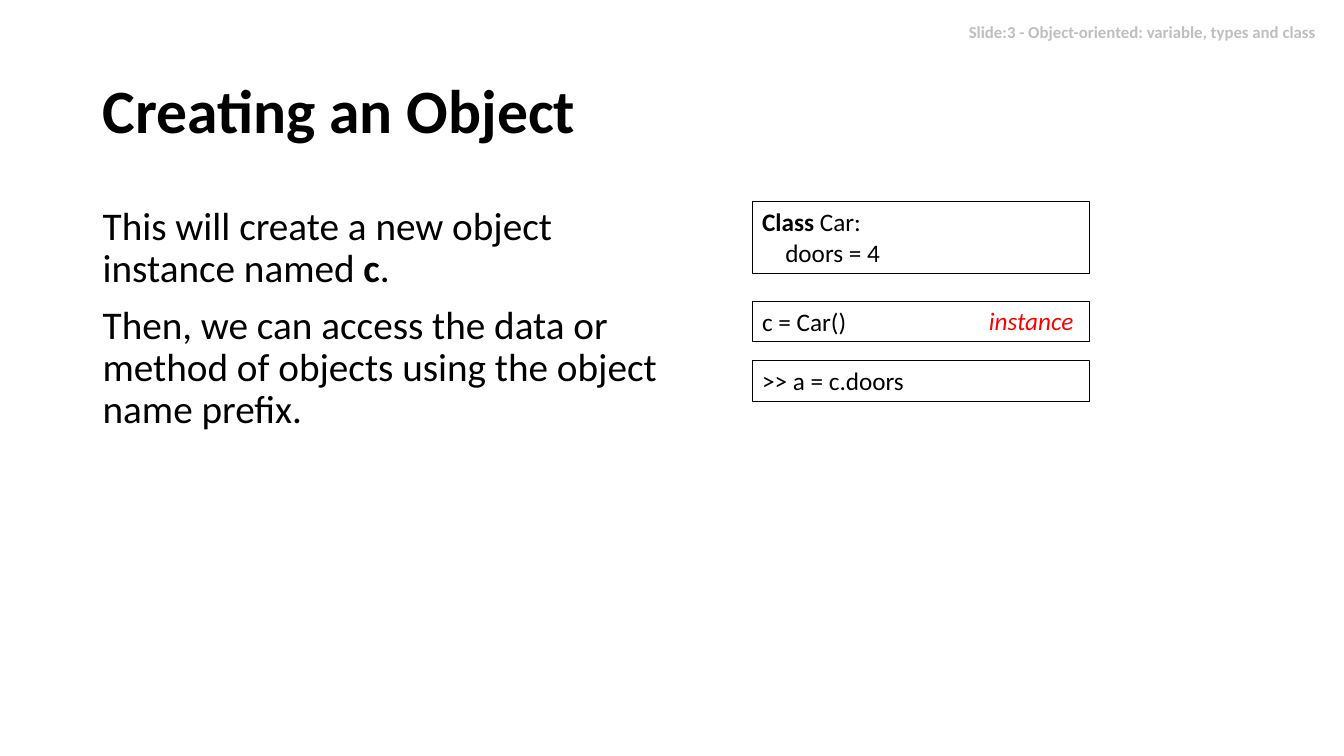
from pptx import Presentation
from pptx.dml.color import RGBColor
from pptx.enum.shapes import MSO_SHAPE
from pptx.enum.text import MSO_ANCHOR, PP_ALIGN
from pptx.util import Inches, Pt

BLACK = RGBColor(0x00, 0x00, 0x00)
GRAY = RGBColor(0xBF, 0xBF, 0xBF)
RED = RGBColor(0xFF, 0x00, 0x00)


def write(shape, lines, size, color=BLACK):
    """Fill the shape with lines, each a list of (text, bold) runs."""
    frame = shape.text_frame
    frame.word_wrap = True
    for index, runs in enumerate(lines):
        paragraph = frame.paragraphs[0] if index == 0 else frame.add_paragraph()
        paragraph.alignment = PP_ALIGN.LEFT
        paragraph.font.name = "Calibri"
        paragraph.font.size = Pt(size)
        paragraph.font.color.rgb = color
        for text, bold in runs:
            run = paragraph.add_run()
            run.text = text
            run.font.bold = bold
    return frame


def add_text(left, top, width, height, lines, size, color=BLACK):
    box = slide.shapes.add_textbox(Inches(left), Inches(top), Inches(width), Inches(height))
    return write(box, lines, size, color)


presentation = Presentation()
presentation.slide_width = Inches(13.33)
presentation.slide_height = Inches(7.5)
slide = presentation.slides.add_slide(presentation.slide_layouts[6])

header = add_text(0.44, 0.17, 12.71, 0.3,
                  [[("Slide:3 - Object-oriented: variable, types and class", True)]], 12, GRAY)
header.paragraphs[0].alignment = PP_ALIGN.RIGHT

title = add_text(0.92, 0.4, 11.5, 1.45, [[("Creating an Object", True)]], 44)
title.vertical_anchor = MSO_ANCHOR.MIDDLE
title.paragraphs[0].line_spacing = 0.9

explanation = add_text(0.92, 2, 5.95, 4.76, [
    [("This will create a new object instance named ", False), ("c", True), (".", False)],
    [("Then, we can access the data or method of objects using the object name prefix.", False)],
], 28)
for paragraph in explanation.paragraphs:
    paragraph.line_spacing = 0.9
    paragraph.space_before = Pt(10)

code_blocks = [
    (2, 0.71, [[("Class ", True), ("Car:", False)], [("doors = 4", False)]]),
    (2.99, 0.4, [[("c = Car()", False)]]),
    (3.58, 0.4, [[(">> a = c.doors", False)]]),
]
for top, height, code in code_blocks:
    block = slide.shapes.add_shape(MSO_SHAPE.RECTANGLE, Inches(7.46), Inches(top),
                                   Inches(3.35), Inches(height))
    block.shadow.inherit = False
    block.fill.background()
    block.line.color.rgb = BLACK
    block.line.width = Pt(0.75)
    code_frame = write(block, code, 18)
    code_frame.vertical_anchor = MSO_ANCHOR.TOP
    for body_line in code_frame.paragraphs[1:]:
        body_line._p.get_or_add_pPr().set("marL", str(Inches(0.23)))

instance_label = add_text(9.71, 2.98, 1.1, 0.4, [[("instance", False)]], 18, RED)
instance_label.paragraphs[0].font.italic = True

presentation.save("out.pptx")
